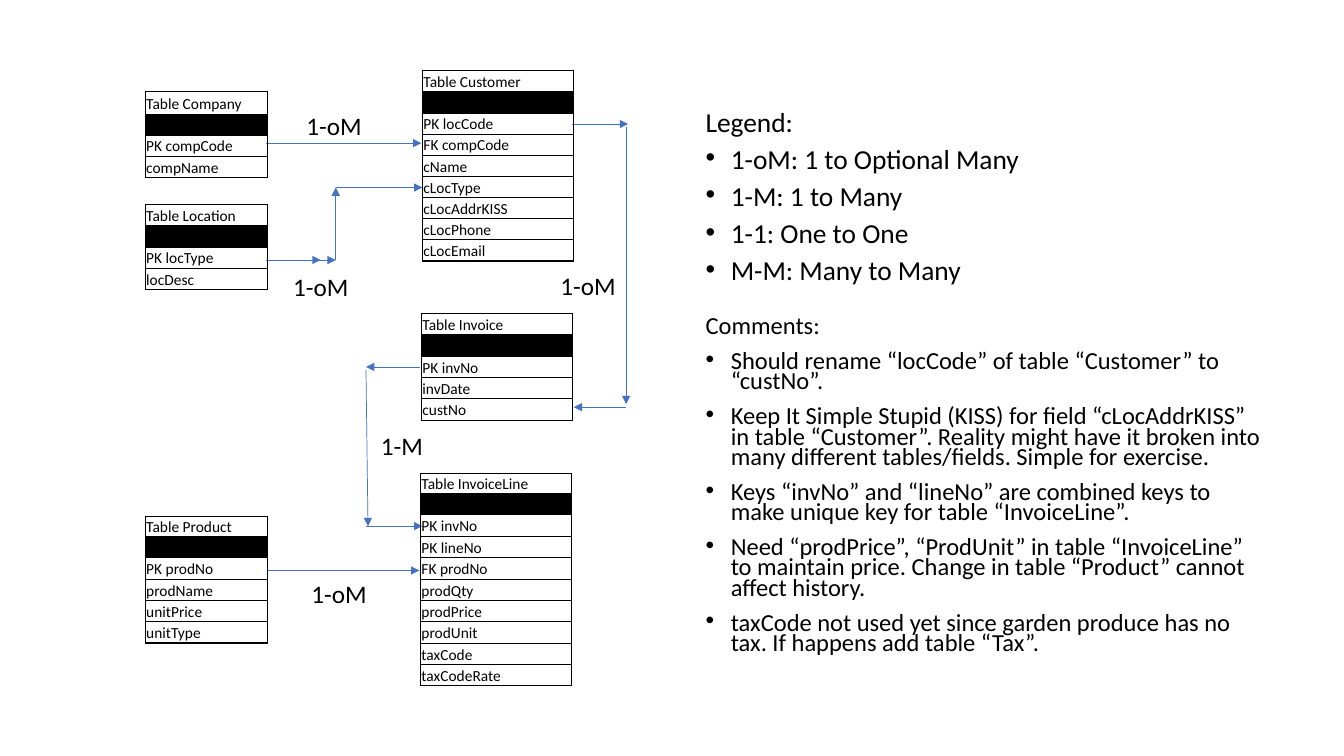
import pptx
import pptx.dml.color
import pptx.enum.shapes
import pptx.enum.text
import pptx.oxml
import pptx.oxml.ns
import pptx.util
from lxml import etree

Inches = pptx.util.Inches
Pt = pptx.util.Pt
qn = pptx.oxml.ns.qn
BLACK, BLUE = "000000", "4472C4"

# Places in the diagram are relative to its box: left, top, width, height, title row, fields
TABLES = [
    (2.75, 0, 1.5, 1.89, 0.21, "Table Customer",
     ["PK locCode", "FK compCode", "cName", "cLocType", "cLocAddrKISS", "cLocPhone", "cLocEmail"]),
    (2.73, 4, 1.5, 2.1, 0.19, "Table InvoiceLine",
     ["PK invNo", "PK lineNo", "FK prodNo", "prodQty", "prodPrice", "prodUnit", "taxCode",
      "taxCodeRate"]),
    (2.74, 2.41, 1.5, 1.06, 0.21, "Table Invoice", ["PK invNo", "invDate", "custNo"]),
    (0, 4.42, 1.21, 1.26, 0.2, "Table Product", ["PK prodNo", "prodName", "unitPrice", "unitType"]),
    (0, 0.21, 1.21, 0.85, 0.22, "Table Company", ["PK compCode", "compName"]),
    (0, 1.33, 1.21, 0.84, 0.21, "Table Location", ["PK locType", "locDesc"]),
]
# Each arrow points at its second end
ARROWS = [
    (1.2, 0.72, 2.74, 0.72),  # Company to Customer
    (1.2, 1.88, 1.74, 1.88), (1.2, 1.88, 1.89, 1.88),  # Location to Customer
    (1.89, 1.88, 1.89, 1.16), (1.89, 1.16, 2.75, 1.16),
    (4.23, 0.53, 4.79, 0.53), (4.77, 0.56, 4.77, 3.31),  # Customer to Invoice
    (4.77, 3.34, 4.25, 3.34),
    (2.73, 2.94, 2.19, 2.94), (2.19, 2.97, 2.21, 4.52),  # Invoice to InvoiceLine
    (2.19, 4.52, 2.75, 4.52),
    (1.21, 4.96, 2.72, 4.96),  # Product to InvoiceLine
]
LABELS = [
    (1.5, 0.35, 1.04, "1-oM"), (1.37, 1.94, 1.04, "1-oM"), (4.02, 1.93, 1.04, "1-oM"),
    (2.24, 3.52, 0.81, "1-M"), (1.55, 4.99, 1.04, "1-oM"),
]
LEGEND = ["1-oM: 1 to Optional Many", "1-M: 1 to Many", "1-1: One to One", "M-M: Many to Many"]
COMMENTS = [
    "Should rename “locCode” of table “Customer” to “custNo”.",
    "Keep It Simple Stupid (KISS) for field “cLocAddrKISS” in table “Customer”. Reality might "
    "have it broken into many different tables/fields. Simple for exercise.",
    "Keys “invNo” and “lineNo” are combined keys to make unique key for table “InvoiceLine”.",
    "Need “prodPrice”, “ProdUnit” in table “InvoiceLine” to maintain price. Change in table "
    "“Product” cannot affect history.",
    "taxCode not used yet since garden produce has no tax. If happens add table “Tax”.",
]


def colour(value):
    """Turn a hex string into a colour."""
    return pptx.dml.color.RGBColor.from_string(value)


def write(para, text, size=18, hue=BLACK, line=None, before=None, bullet=False):
    """Write formatted text into a paragraph."""
    span = para.add_run()
    span.text = text
    span.font.name = "Calibri"
    span.font.size = Pt(size)
    span.font.bold = False
    span.font.color.rgb = colour(hue)
    if line:
        para.line_spacing = line
    if before:
        para.space_before = Pt(before)
    if bullet:
        props = para._p.get_or_add_pPr()
        props.set("marL", str(Inches(0.25)))
        props.set("indent", str(Inches(-0.25)))
        etree.SubElement(props, qn("a:buFont")).set("typeface", "Arial")
        etree.SubElement(props, qn("a:buChar")).set("char", "•")


def add_frame(page, box):
    """Add an empty wrapping text box and return its text frame."""
    frame = page.shapes.add_textbox(*map(Inches, box)).text_frame
    frame.word_wrap = True
    return frame


def add_list(page, box, heading, items, size):
    """Place a heading with bulleted items below it."""
    frame = add_frame(page, box)
    write(frame.paragraphs[0], heading, size=size, line=0.7, before=10)
    for item in items:
        write(frame.add_paragraph(), item, size=size, line=0.7, before=10, bullet=True)


def add_arrow(page, start, end):
    """Draw a thin blue arrow from start to end."""
    arrow = page.shapes.add_connector(
        pptx.enum.shapes.MSO_CONNECTOR.STRAIGHT, *map(Inches, (*start, *end)))
    arrow.line.color.rgb = colour(BLUE)
    arrow.line.width = Pt(0.5)
    etree.SubElement(arrow.line._get_or_add_ln(), qn("a:tailEnd")).set("type", "triangle")
    etree.SubElement(arrow._element.spPr, qn("a:effectLst"))


def set_borders(cell, widths):
    """Give a cell black borders; widths are left, right, top, bottom in points."""
    props = cell._tc.get_or_add_tcPr()
    for index, (side, width) in enumerate(zip("LRTB", widths)):
        edge = etree.Element(qn("a:ln" + side), w=str(Pt(width)))
        fill = etree.SubElement(edge, qn("a:solidFill"))
        etree.SubElement(fill, qn("a:srgbClr")).set("val", BLACK)
        props.insert(index, edge)


def add_entity(page, box, title_height, title, fields):
    """Place a one-column table: title, black bar, then fields in equal rows."""
    rows = [title, None, *fields]
    table = page.shapes.add_table(len(rows), 1, *map(Inches, box)).table
    table.first_row = table.horz_banding = False
    row_height = (box[3] - title_height) / (len(rows) - 1)
    for index, text in enumerate(rows):
        table.rows[index].height = Inches(row_height if index else title_height)
        cell = table.cell(index, 0)
        cell.margin_left = cell.margin_right = cell.margin_top = Inches(0.01)
        cell.margin_bottom = 0
        cell.vertical_anchor = pptx.enum.text.MSO_ANCHOR.BOTTOM
        para = cell.text_frame.paragraphs[0]
        if text:
            cell.fill.background()
            write(para, text, size=11)
        else:
            cell.fill.solid()
            cell.fill.fore_color.rgb = colour(BLACK)
            etree.SubElement(para._p, qn("a:endParaRPr")).set("sz", "1100")
        last = index == len(rows) - 1
        set_borders(cell, (1, 1, 0.5 if index else 1, 1 if last else 0.5))


def add_diagram(page, box):
    """Place the related tables, their arrows and the relation labels."""
    left, top = box[:2]
    for x1, y1, x2, y2 in ARROWS:
        add_arrow(page, (left + x1, top + y1), (left + x2, top + y2))
    for x, y, width, text in LABELS:
        write(add_frame(page, (left + x, top + y, width, 0.4)).paragraphs[0], text)
    for x, y, width, height, *content in TABLES:
        add_entity(page, (left + x, top + y, width, height), *content)


deck = pptx.Presentation()
deck.slide_width, deck.slide_height = Inches(13.33), Inches(7.5)
page = deck.slides.add_slide(deck.slide_layouts[6])
add_diagram(page, (1.44, 0.7, 4.79, 6.1))
add_list(page, (6.9, 1.08, 5.73, 1.89), "Legend:", LEGEND, 19.6)
add_list(page, (6.9, 3.11, 5.73, 3.95), "Comments:", COMMENTS, 17.5)
deck.save("out.pptx")
